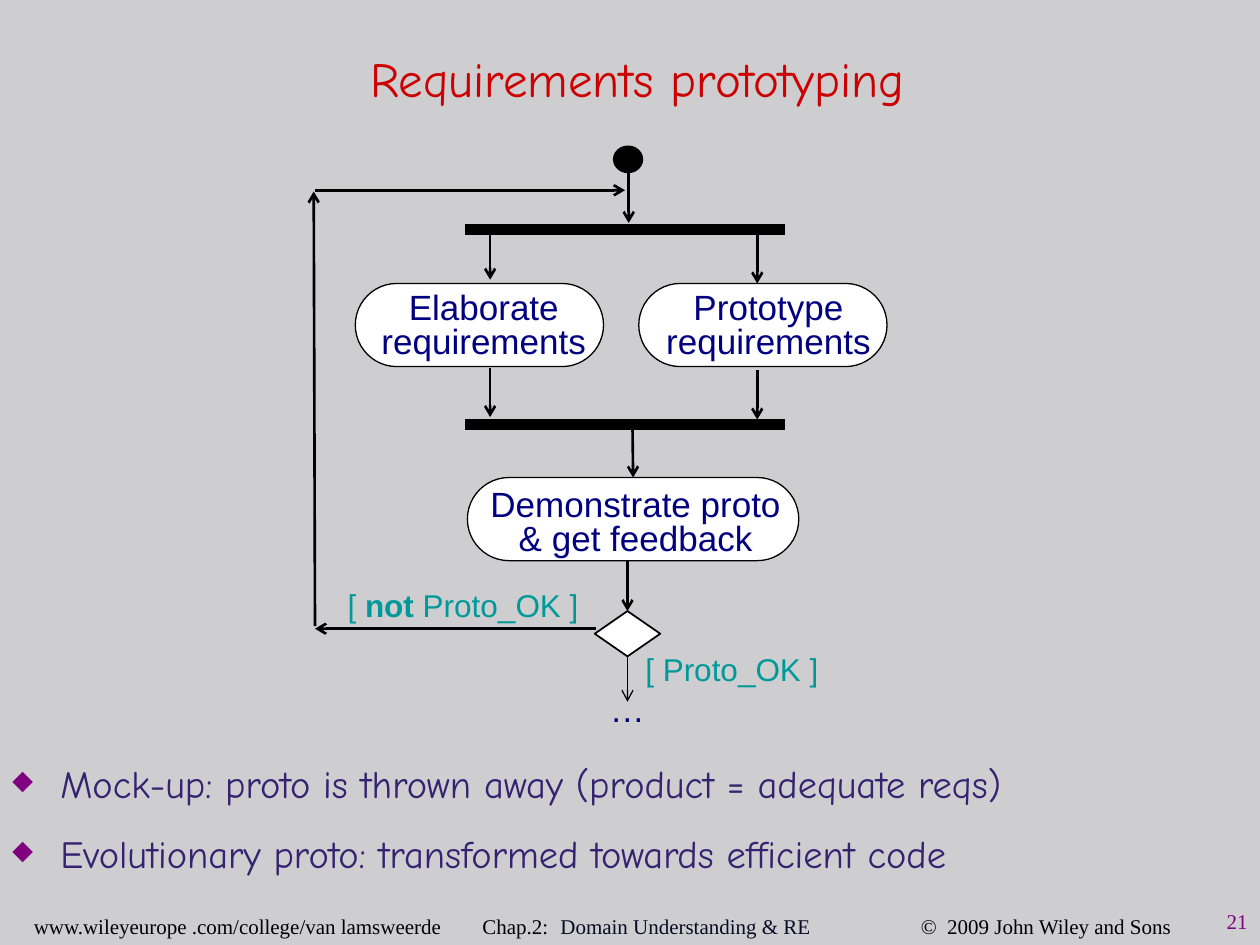
from dataclasses import dataclass

import pptx
import pptx.dml.color
import pptx.enum.shapes
import pptx.enum.text
import pptx.oxml
import pptx.oxml.ns
import pptx.util
from pptx.util import Inches

SHAPES = pptx.enum.shapes.MSO_SHAPE
ALIGN = pptx.enum.text.PP_ALIGN
ANCHOR = pptx.enum.text.MSO_ANCHOR


@dataclass(frozen=True)
class TextStyle:
    font: str
    size: float
    color: str


@dataclass(frozen=True)
class Theme:
    background: str = "CECED0"
    ink: str = "000000"
    paper: str = "FFFFFF"
    bullet: str = "800080"
    chapter: str = "070B26"
    title: TextStyle = TextStyle("Comic Neue", 28, "CC0000")
    body: TextStyle = TextStyle("Comic Neue", 22, "352270")
    activity: TextStyle = TextStyle("Arial", 20, "000080")
    guard: TextStyle = TextStyle("Arial", 18, "009999")
    footer: TextStyle = TextStyle("Times New Roman", 12, "000000")
    page: TextStyle = TextStyle("Times New Roman", 12, "800080")


@dataclass(frozen=True)
class Box:
    left: float
    top: float
    width: float
    height: float

    def lengths(self) -> tuple:
        return tuple(Inches(side) for side in (self.left, self.top, self.width, self.height))


@dataclass(frozen=True)
class Activity:
    outline: Box
    label: Box
    lines: tuple[str, str]


@dataclass(frozen=True)
class Flow:
    start: tuple[float, float]
    end: tuple[float, float]
    weight: float = 1.5
    arrow: bool = True


THEME = Theme()
WIDE_INSETS = (0.1, 0.05)
TIGHT_INSETS = (0.02, 0.01)

ACTIVITIES = [
    Activity(Box(2.82, 2.25, 1.97, 0.66), Box(2.94, 2.26, 1.8, 0.63), ("Elaborate", "requirements")),
    Activity(Box(5.07, 2.25, 1.97, 0.66), Box(5.2, 2.26, 1.8, 0.63), ("Prototype", "requirements")),
    Activity(Box(3.71, 3.79, 2.63, 0.66), Box(3.84, 3.82, 2.41, 0.62), ("Demonstrate proto", "& get feedback")),
]
FORK_Y, JOIN_Y = 1.82, 3.37
LEFT_X, RIGHT_X, MIDDLE_X, LOOP_X = 3.89, 6.01, 4.99, 2.5
FLOWS = [
    *(Flow((3.69, y), (6.23, y), weight=6, arrow=False) for y in (FORK_Y, JOIN_Y)),
    Flow((MIDDLE_X, 1.27), (MIDDLE_X, 1.77)),
    Flow((LEFT_X, FORK_Y), (LEFT_X, 2.22)),
    Flow((RIGHT_X, 1.85), (RIGHT_X, 2.25)),
    Flow((LEFT_X, 2.92), (LEFT_X, 3.31)),
    Flow((RIGHT_X, 2.94), (RIGHT_X, 3.33)),
    Flow((4.73, 4.99), (LOOP_X, 4.99)),
    Flow((LOOP_X, 4.97), (2.49, 1.52)),
    Flow((LOOP_X, 1.51), (4.96, 1.51)),
]
BULLETS = [
    ("Mock-up: proto is thrown away (product = adequate reqs)", 1.1),
    ("Evolutionary proto: transformed towards efficient code", 1.2),
]
FOOTER_TABS = (3.56, 4.18, 7.04)


def rgb(color: str) -> pptx.dml.color.RGBColor:
    return pptx.dml.color.RGBColor.from_string(color)


def add_element(parent, tag: str, **attributes: str):
    element = pptx.oxml.parse_xml(f"<{tag} {pptx.oxml.ns.nsdecls('a')}/>")
    for name, value in attributes.items():
        element.set(name, value)
    parent.append(element)
    return element


def style_runs(paragraph, style: TextStyle) -> None:
    for run in paragraph.runs:
        run.font.name = style.font
        run.font.size = pptx.util.Pt(style.size)
        run.font.color.rgb = rgb(style.color)


def add_text(slide, box: Box, text: str, style: TextStyle, align=ALIGN.CENTER,
             insets=TIGHT_INSETS, anchor=ANCHOR.TOP):
    """Add a wrapping text box and return its text frame."""
    text_frame = slide.shapes.add_textbox(*box.lengths()).text_frame
    text_frame.word_wrap = True
    text_frame.vertical_anchor = anchor
    text_frame.margin_left = text_frame.margin_right = Inches(insets[0])
    text_frame.margin_top = text_frame.margin_bottom = Inches(insets[1])
    text_frame.text = text
    for paragraph in text_frame.paragraphs:
        paragraph.alignment = align
        style_runs(paragraph, style)
    return text_frame


def append_run(paragraph, text: str):
    run = paragraph.add_run()
    run.text = text
    return run


def add_node(slide, kind, box: Box, fill: str, weight: float = 0.75):
    shape = slide.shapes.add_shape(kind, *box.lengths())
    shape.shadow.inherit = False
    shape.fill.solid()
    shape.fill.fore_color.rgb = rgb(fill)
    shape.line.color.rgb = rgb(THEME.ink)
    shape.line.width = pptx.util.Pt(weight)
    return shape


def add_activity(slide, activity: Activity):
    shape = add_node(slide, SHAPES.ROUNDED_RECTANGLE, activity.outline, THEME.paper)
    shape.adjustments[0] = 0.5
    text_frame = add_text(slide, activity.label, "\n".join(activity.lines), THEME.activity)
    text_frame.paragraphs[1].line_spacing = 0.8
    return shape


def add_flow(slide, flow: Flow):
    points = (Inches(value) for value in (*flow.start, *flow.end))
    connector = slide.shapes.add_connector(pptx.enum.shapes.MSO_CONNECTOR.STRAIGHT, *points)
    connector.line.color.rgb = rgb(THEME.ink)
    connector.line.width = pptx.util.Pt(flow.weight)
    if flow.arrow:
        add_element(connector.line._get_or_add_ln(), "a:tailEnd", type="arrow")
    add_element(connector._element.spPr, "a:effectLst")
    return connector


def add_bullets(slide) -> None:
    text = "\n".join(line for line, _ in BULLETS)
    text_frame = add_text(slide, Box(0, 5.96, 9.81, 1.03), text, THEME.body,
                          ALIGN.LEFT, WIDE_INSETS, ANCHOR.MIDDLE)
    for index, (paragraph, (_, spacing)) in enumerate(zip(text_frame.paragraphs, BULLETS)):
        paragraph.line_spacing = spacing
        paragraph.space_before = pptx.util.Pt(8.8 if index else 0)
        properties = paragraph._p.get_or_add_pPr()
        properties.set("marL", str(Inches(0.38)))
        properties.set("indent", str(Inches(-0.38)))
        add_element(add_element(properties, "a:buClr"), "a:srgbClr", val=THEME.bullet)
        add_element(properties, "a:buSzPct", val="70000")
        add_element(properties, "a:buChar", char="◆")


def add_footer(slide) -> None:
    add_text(slide, Box(9.18, 7.16, 0.82, 0.34), "21", THEME.page, ALIGN.RIGHT, WIDE_INSETS)
    text_frame = add_text(slide, Box(0.17, 7.2, 9.3, 0.3),
                          "www.wileyeurope .com/college/van lamsweerde\tChap.2:\t",
                          THEME.footer, ALIGN.LEFT, WIDE_INSETS)
    paragraph = text_frame.paragraphs[0]
    tabs = add_element(paragraph._p.get_or_add_pPr(), "a:tabLst")
    for position in FOOTER_TABS:
        add_element(tabs, "a:tab", pos=str(Inches(position)), algn="l")
    chapter = append_run(paragraph, "Domain Understanding & RE")
    append_run(paragraph, "\t©  2009 John Wiley and Sons")
    style_runs(paragraph, THEME.footer)
    chapter.font.color.rgb = rgb(THEME.chapter)


def add_diagram(slide) -> None:
    shapes = [add_activity(slide, activity) for activity in ACTIVITIES]
    demonstrate = shapes[-1]
    add_node(slide, SHAPES.OVAL, Box(4.87, 1.16, 0.23, 0.21), THEME.ink)
    decision = add_node(slide, SHAPES.FLOWCHART_DECISION, Box(4.72, 4.85, 0.52, 0.36), THEME.paper, 1)
    for flow in FLOWS:
        add_flow(slide, flow)
    add_flow(slide, Flow((5.02, JOIN_Y), (5.02, 3.79))).end_connect(demonstrate, 0)
    add_flow(slide, Flow((4.98, 4.45), (4.98, 4.85))).end_connect(decision, 0)
    add_flow(slide, Flow((4.98, 5.21), (4.98, 5.57), weight=0.75)).begin_connect(decision, 2)

    add_text(slide, Box(4.91, 5.15, 1.8, 0.44), "[ Proto_OK ]", THEME.guard)
    rejected = add_text(slide, Box(2.6, 4.64, 2.15, 0.44), "[ ", THEME.guard).paragraphs[0]
    append_run(rejected, "not").font.bold = True
    append_run(rejected, " Proto_OK ]")
    style_runs(rejected, THEME.guard)
    add_text(slide, Box(4.45, 5.45, 1.06, 0.37), "…", THEME.activity)


def main() -> None:
    presentation = pptx.Presentation()
    presentation.slide_width, presentation.slide_height = Inches(10), Inches(7.5)
    slide = presentation.slides.add_slide(presentation.slide_layouts[6])
    slide.background.fill.solid()
    slide.background.fill.fore_color.rgb = rgb(THEME.background)
    add_footer(slide)
    add_text(slide, Box(0.33, 0.2, 9.46, 0.83), "Requirements prototyping", THEME.title,
             insets=WIDE_INSETS, anchor=ANCHOR.MIDDLE)
    add_bullets(slide)
    add_diagram(slide)
    presentation.save("out.pptx")


if __name__ == "__main__":
    main()
